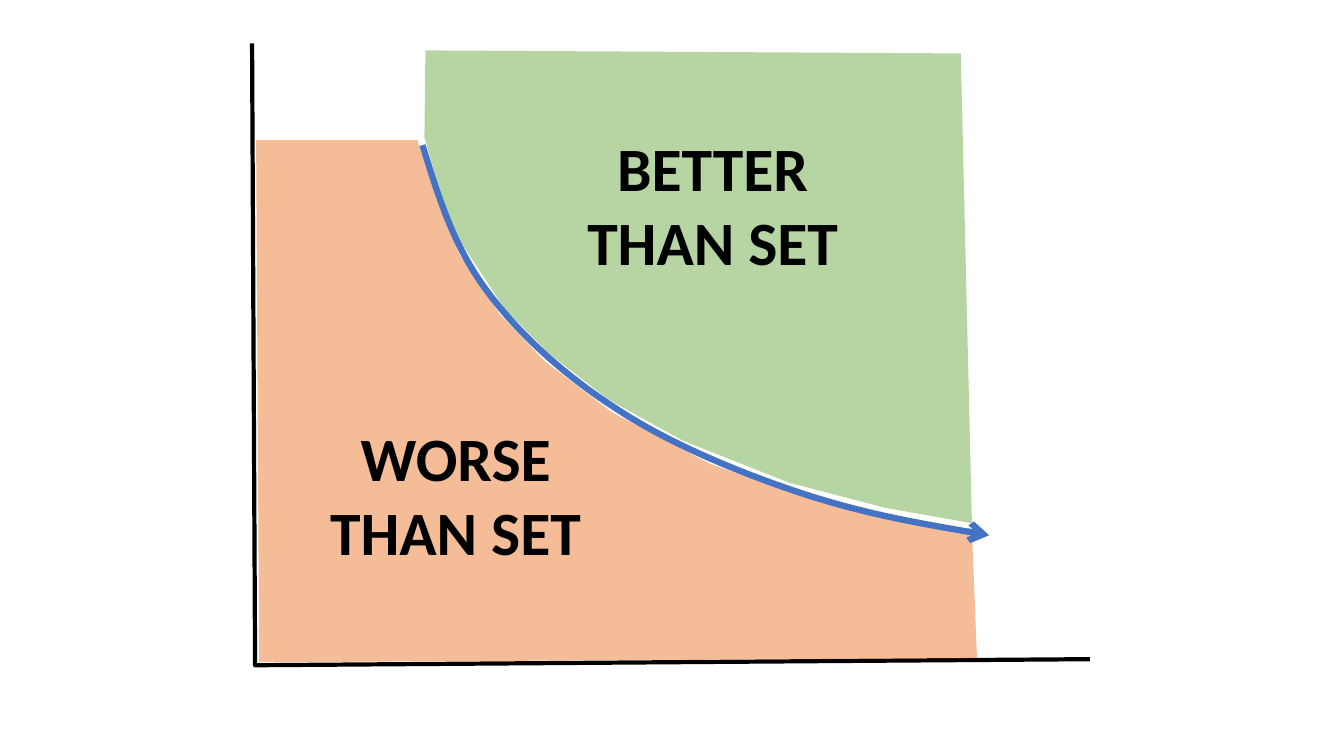
"""Build a slide showing the better-than and worse-than sets around an indifference curve."""
from pptx import Presentation
from pptx.dml.color import RGBColor
from pptx.enum.text import MSO_AUTO_SIZE, PP_ALIGN
from pptx.oxml.ns import qn
from pptx.util import Inches, Pt
from lxml import etree

CENTER = PP_ALIGN.CENTER
FIT_SHAPE = MSO_AUTO_SIZE.SHAPE_TO_FIT_TEXT
FONT = "Calibri"
COLORS = {"better": "70AD47", "worse": "ED7D31", "curve": "4472C4", "ink": "000000"}

BETTER_AREA = [(4.22, 0.5), (4.21, 1.36), (4.39, 2), (4.59, 2.43), (5.01, 3.07),
               (5.45, 3.51), (6.03, 3.96), (6.77, 4.37), (7.83, 4.79), (8.79, 5.04),
               (9.64, 5.19), (9.53, 0.53)]
AXES = [(2.5, 0.43), (2.53, 6.6), (10.81, 6.54)]
WORSE_AREA = [(2.54, 1.39), (4.14, 1.39), (4.33, 1.98), (4.56, 2.53), (4.95, 3.11),
              (5.41, 3.59), (6.07, 4.09), (7.04, 4.6), (7.92, 4.91), (9.09, 5.21),
              (9.64, 5.28), (9.69, 6.53), (2.57, 6.57)]
CURVE = [(4.19, 1.44), (4.34, 1.93), (4.49, 2.42), (4.81, 2.86), (5.12, 3.29),
         (5.58, 3.71), (6.09, 4.04), (6.6, 4.38), (7.26, 4.66), (7.88, 4.87),
         (8.5, 5.08), (9.15, 5.2), (9.81, 5.31)]
LABELS = [("BETTER THAN SET", 5.34, 1.24), ("WORSE THAN SET", 2.79, 4.12)]
LABEL_SIZE = (3.46, 1.58)


def add_outline(slide, points, closed):
    corners = [(Inches(x), Inches(y)) for x, y in points]
    builder = slide.shapes.build_freeform(*corners[0])
    builder.add_line_segments(corners[1:], close=closed)
    outline = builder.convert_to_shape()
    outline.shadow.inherit = False
    return outline


def add_area(slide, points, color):
    area = add_outline(slide, points, True)
    area.fill.solid()
    area.fill.fore_color.rgb = RGBColor.from_string(COLORS[color])
    area.line.fill.background()
    tint = area.fill._xPr.find(".//" + qn("a:srgbClr"))
    etree.SubElement(tint, qn("a:alpha"), val="50000")


def add_stroke(slide, points, color, width):
    stroke = add_outline(slide, points, False)
    stroke.fill.background()
    stroke.line.color.rgb = RGBColor.from_string(COLORS[color])
    stroke.line.width = Pt(width)
    return stroke


def bend(stroke):
    segments = list(stroke._element.iter(qn("a:lnTo")))
    for start in range(0, len(segments), 3):
        bezier = etree.Element(qn("a:cubicBezTo"))
        segments[start].addprevious(bezier)
        for segment in segments[start:start + 3]:
            bezier.append(segment[0])
            segment.getparent().remove(segment)


def add_label(slide, text, left, top):
    label = slide.shapes.add_textbox(*map(Inches, (left, top, *LABEL_SIZE)))
    frame = label.text_frame
    frame.word_wrap = True
    frame.auto_size = FIT_SHAPE
    paragraph = frame.paragraphs[0]
    paragraph.text = text
    paragraph.alignment = CENTER
    font = paragraph.font
    font.name, font.size, font.bold = FONT, Pt(44), True
    font.color.rgb = RGBColor.from_string(COLORS["ink"])


def main():
    deck = Presentation()
    deck.slide_width, deck.slide_height = Inches(13.33), Inches(7.5)
    slide = deck.slides.add_slide(deck.slide_layouts[6])
    add_area(slide, BETTER_AREA, "better")
    add_stroke(slide, AXES, "ink", 3)
    add_area(slide, WORSE_AREA, "worse")
    for label in LABELS:
        add_label(slide, *label)
    curve = add_stroke(slide, CURVE, "curve", 4.5)
    bend(curve)
    etree.SubElement(curve.line._get_or_add_ln(), qn("a:tailEnd"), type="arrow")
    deck.save("out.pptx")


if __name__ == "__main__":
    main()
